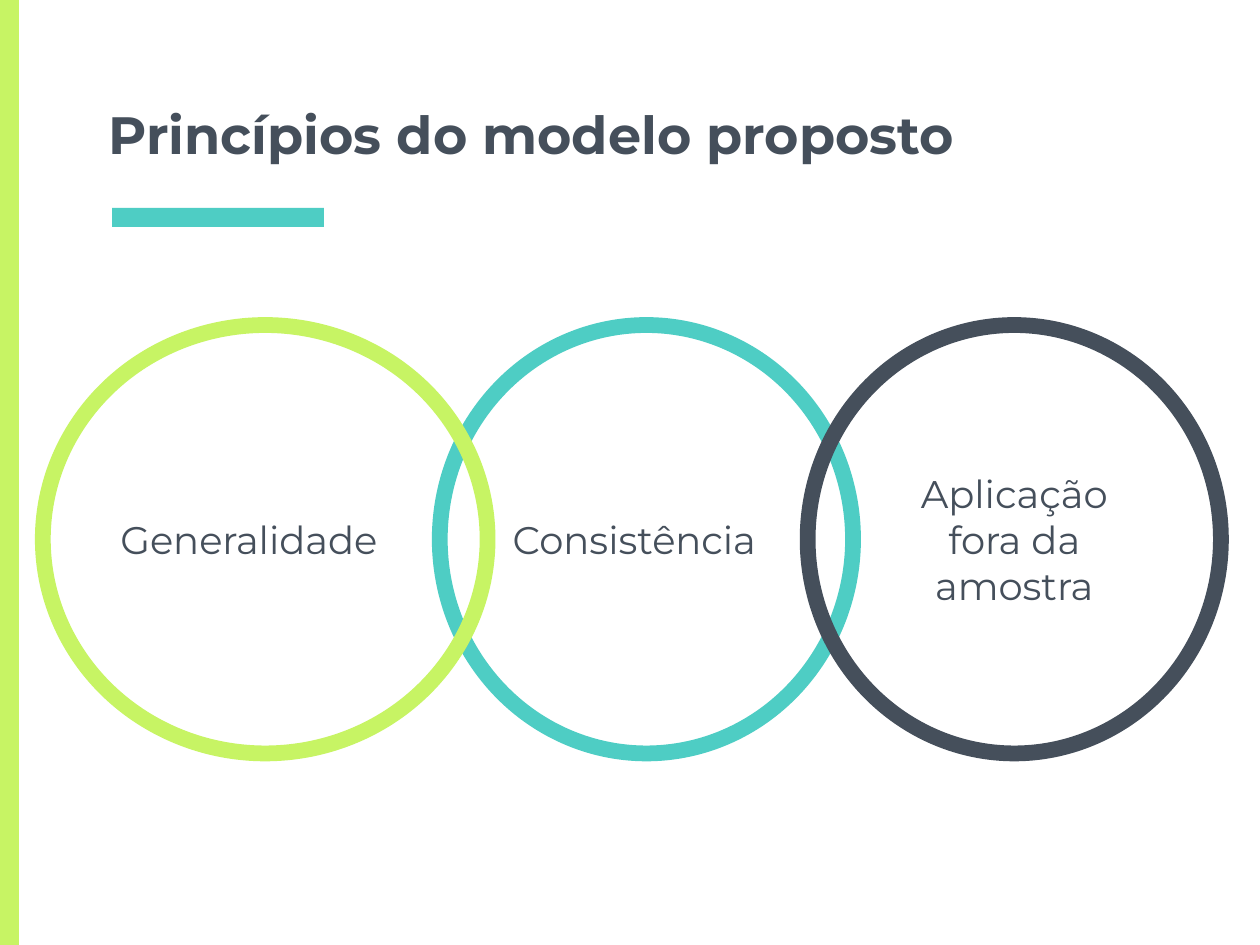
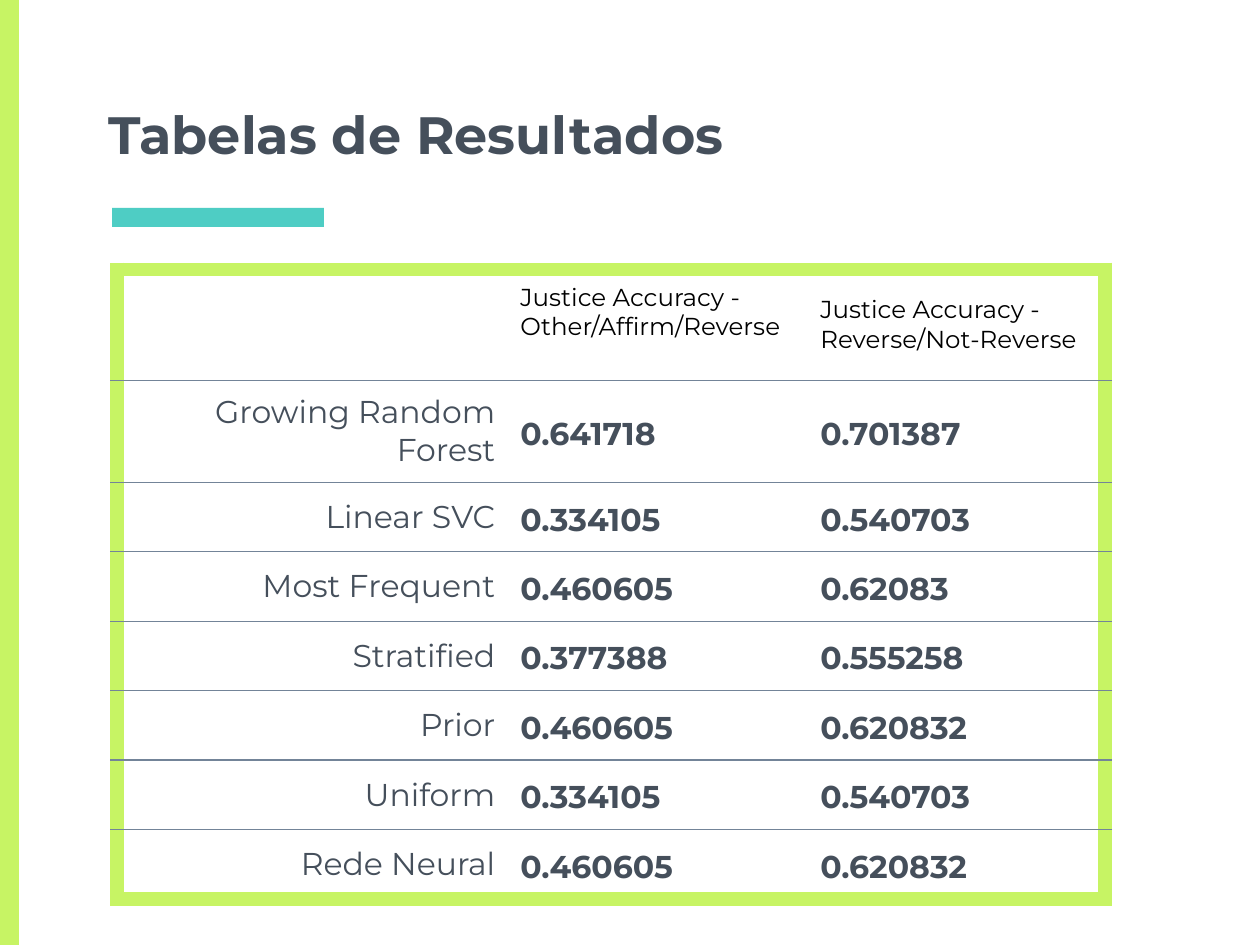
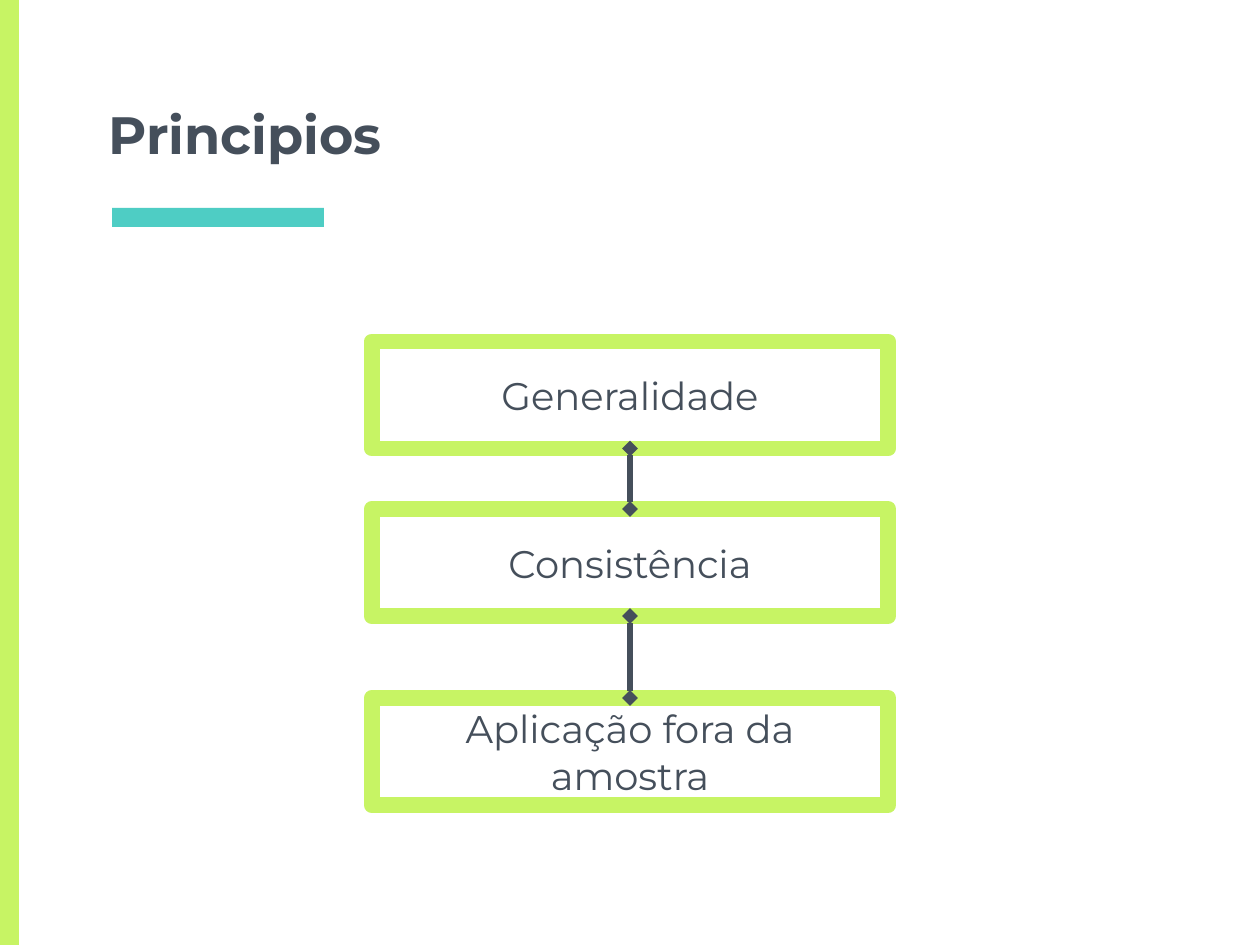
from lxml import etree
from pptx import Presentation
from pptx.dml.color import RGBColor
from pptx.enum.shapes import MSO_CONNECTOR, MSO_SHAPE
from pptx.enum.text import MSO_ANCHOR, MSO_AUTO_SIZE, PP_ALIGN
from pptx.oxml.ns import qn
from pptx.util import Pt

LEFT, CENTER, RIGHT = PP_ALIGN.LEFT, PP_ALIGN.CENTER, PP_ALIGN.RIGHT
MIDDLE, BOTTOM = MSO_ANCHOR.MIDDLE, MSO_ANCHOR.BOTTOM
RECTANGLE, OVAL = MSO_SHAPE.RECTANGLE, MSO_SHAPE.OVAL
STRAIGHT = MSO_CONNECTOR.STRAIGHT
NO_FIT = MSO_AUTO_SIZE.NONE

FONT = "Montserrat"
COLORS = {
    "lime": "C7F464",
    "teal": "4ECDC4",
    "slate": "454F5B",
    "rule": "738498",
    "black": "000000",
}
PAGE = (720, 540)
TITLE_BOX = (54.72, 49.68, 611.28, 51.84)
SIDE_BAND = (0, 0, 10.8, 540)
TITLE_BAR = (64.08, 118.8, 120.96, 10.8)
INSET = 7.2
OUTLINE = 9
TOP_SITE, BOTTOM_SITE = 0, 2


def rgb(color):
    return RGBColor.from_string(COLORS[color])


def points(box):
    return [Pt(length) for length in box]


def write(frame, text, size=22, color="slate", bold=False, align=LEFT,
          anchor=MIDDLE, before=0, spacing=1.0):
    frame.word_wrap = True
    frame.auto_size = NO_FIT
    frame.vertical_anchor = anchor
    frame.margin_left = frame.margin_right = Pt(INSET)
    frame.margin_top = frame.margin_bottom = Pt(INSET)
    paragraph = frame.paragraphs[0]
    paragraph.alignment = align
    paragraph.space_before = Pt(before)
    paragraph.line_spacing = spacing
    run = paragraph.add_run()
    run.text = text
    run.font.name = FONT
    run.font.size = Pt(size)
    run.font.bold = bold
    run.font.color.rgb = rgb(color)


def add_band(slide, box, color):
    band = slide.shapes.add_shape(RECTANGLE, *points(box))
    band.shadow.inherit = False
    band.fill.solid()
    band.fill.fore_color.rgb = rgb(color)
    band.line.fill.background()
    return band


def add_outlined(slide, preset, box, color, text, align=CENTER):
    outlined = slide.shapes.add_shape(preset, *points(box))
    outlined.shadow.inherit = False
    outlined.fill.background()
    outlined.line.color.rgb = rgb(color)
    outlined.line.width = Pt(OUTLINE)
    write(outlined.text_frame, text, align=align, before=6)
    return outlined


def set_up_layout(deck, layout):
    heading = layout.placeholders[0]
    heading.left, heading.top, heading.width, heading.height = points(TITLE_BOX)
    draft = deck.slides.add_slide(layout)
    for box, color in ((SIDE_BAND, "lime"), (TITLE_BAR, "teal")):
        heading.element.addprevious(add_band(draft, box, color).element)
    return draft


def add_title(slide, text):
    write(slide.shapes.title.text_frame, text, size=30, bold=True, anchor=BOTTOM)


def add_circles(slide, box, circles):
    left, top, _, height = box
    for text, offset, width, color, align in circles:
        add_outlined(slide, OVAL, (left + offset, top, width, height),
                     color, text, align)


def border_cell(cell, borders):
    cell.fill.background()
    properties = cell._tc.get_or_add_tcPr()
    for index, side in enumerate("LRTB"):
        line = etree.Element(qn("a:ln" + side))
        if side in borders:
            color, width = borders[side]
            line.set("w", str(Pt(width)))
            fill = etree.SubElement(line, qn("a:solidFill"))
            etree.SubElement(fill, qn("a:srgbClr"), val=COLORS[color])
        else:
            etree.SubElement(line, qn("a:noFill"))
        properties.insert(index, line)


def add_results(slide, box, column_widths, row_heights, headers, results):
    rows = [headers, *results]
    last_row, last_column = len(rows) - 1, len(headers) - 1
    table = slide.shapes.add_table(len(rows), len(headers), *points(box)).table
    table.first_row = table.horz_banding = False
    for column, width in zip(table.columns, column_widths):
        column.width = Pt(width)
    for row, height in zip(table.rows, row_heights):
        row.height = Pt(height)
    frame_line, rule_line = ("lime", OUTLINE), ("rule", 0.75)
    for r, values in enumerate(rows):
        for c, value in enumerate(values):
            cell = table.cell(r, c)
            if r == 0:
                style = {"size": 14, "color": "black"}
            elif c == 0:
                style = {"size": 18, "align": RIGHT}
            else:
                style = {"size": 18, "bold": True, "spacing": 1.15}
            if value:
                write(cell.text_frame, value, **style)
            cell.vertical_anchor = MIDDLE
            cell.margin_left = cell.margin_right = Pt(INSET)
            cell.margin_top = cell.margin_bottom = Pt(INSET)
            borders = {"T": rule_line if r else frame_line,
                       "B": rule_line if r < last_row else frame_line}
            if c == 0:
                borders["L"] = frame_line
            if c == last_column:
                borders["R"] = frame_line
            border_cell(cell, borders)
    table.cell(0, 1).margin_bottom = Pt(3 * INSET)


def link(slide, upper, lower):
    connector = slide.shapes.add_connector(STRAIGHT, 0, 0, 0, 0)
    connector.begin_connect(upper, BOTTOM_SITE)
    connector.end_connect(lower, TOP_SITE)
    connector.line.color.rgb = rgb("slate")
    connector.line.width = Pt(3)
    line = connector.line._get_or_add_ln()
    for end in ("a:headEnd", "a:tailEnd"):
        etree.SubElement(line, qn(end), type="diamond")
    etree.SubElement(connector.element.spPr, qn("a:effectLst"))


def add_chain(slide, box, step_height, steps):
    left, top, width, _ = box
    boxes = [add_outlined(slide, RECTANGLE, (left, top + offset, width, step_height),
                          "lime", text)
             for text, offset in steps]
    for upper, lower in zip(boxes, boxes[1:]):
        link(slide, upper, lower)


deck = Presentation()
deck.slide_width, deck.slide_height = points(PAGE)
title_only = deck.slide_layouts[5]

principles = set_up_layout(deck, title_only)
add_title(principles, "Princípios do modelo proposto")
add_circles(principles, (24.48, 185.76, 673.2, 244.8), [
    ("Consistência", 226.8, 236.16, "teal", LEFT),
    ("Generalidade", 0, 254.16, "lime", LEFT),
    ("Aplicação fora da amostra", 437.04, 236.16, "slate", CENTER),
])

scores = deck.slides.add_slide(title_only)
add_title(scores, "Tabelas de Resultados")
add_results(
    scores, (67, 154, 564.5, 359.1), (223.2, 171.4, 169.9),
    [63.2, 58.3] + [39.6] * 6,
    ("", "Justice Accuracy - Other/Affirm/Reverse",
     "Justice Accuracy - Reverse/Not-Reverse"),
    [
        ("Growing Random Forest", "0.641718", "0.701387"),
        ("Linear SVC", "0.334105", "0.540703"),
        ("Most Frequent", "0.460605", "0.62083"),
        ("Stratified", "0.377388", "0.555258"),
        ("Prior", "0.460605", "0.620832"),
        ("Uniform", "0.334105", "0.540703"),
        ("Rede Neural", "0.460605", "0.620832"),
    ])

sequence = deck.slides.add_slide(title_only)
add_title(sequence, "Principios")
add_chain(sequence, (212.4, 195.12, 295.2, 264.96), 61.2, [
    ("Generalidade", 0),
    ("Consistência", 95.76),
    ("Aplicação fora da amostra", 203.76),
])

deck.save("out.pptx")
